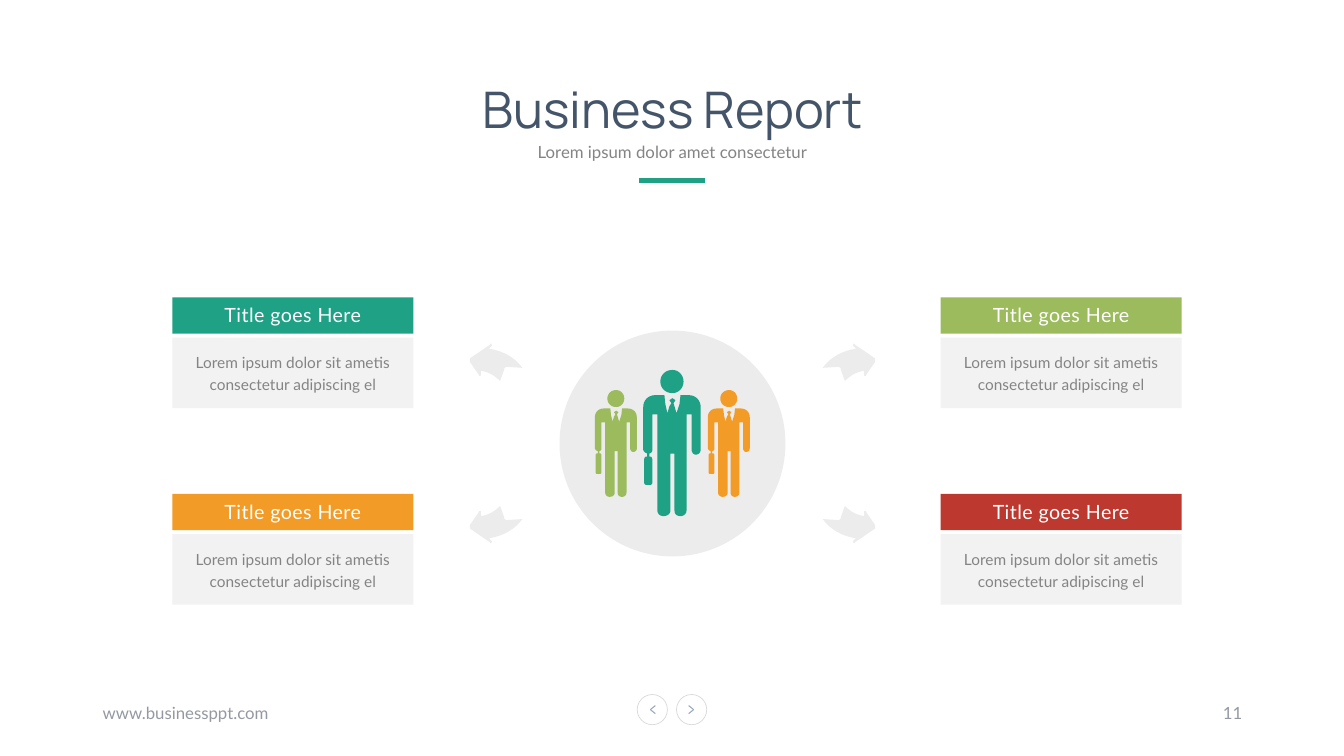
import dataclasses

import pptx
import pptx.dml.color
import pptx.enum.shapes
import pptx.enum.text
import pptx.oxml
import pptx.oxml.ns
import pptx.util

Inches = pptx.util.Inches
Shapes = pptx.enum.shapes.MSO_SHAPE
Align = pptx.enum.text.PP_ALIGN
Anchor = pptx.enum.text.MSO_ANCHOR

# Outlines in hundredths of an inch: a pair is a corner, six numbers are a curve.
BODY = [
    (12, 25), (21, 25), (22, 34), (24, 43), (26, 36), (28, 33), (26, 30), (29, 28),
    (32, 30), (30, 33), (31, 36), (33, 43), (36, 34), (37, 25), (45, 25),
    (52, 25, 57, 30, 57, 37), (57, 79), (57, 82, 55, 84, 52, 84),
    (50, 84, 48, 82, 48, 79), (48, 44), (43, 44), (43, 139),
    (43, 143, 40, 145, 37, 145), (33, 145, 31, 143, 31, 139), (31, 83), (27, 83),
    (27, 139), (27, 143, 24, 145, 20, 145), (17, 145, 14, 143, 14, 139), (14, 44),
    (9, 44), (9, 79), (9, 80, 9, 81, 8, 82), (6, 83), (6, 86), (7, 86),
    (8, 86, 9, 87, 9, 89), (9, 112), (9, 113, 8, 114, 7, 114), (3, 114),
    (2, 114, 1, 113, 1, 112), (1, 89), (1, 87, 2, 86, 3, 86), (4, 86), (4, 83),
    (2, 82), (1, 81, 0, 80, 0, 79), (0, 37), (0, 30, 5, 25, 12, 25),
]
HEAD = [
    (29, 0), (35, 0, 40, 5, 40, 11.5), (40, 18, 35, 23, 29, 23),
    (22, 23, 17, 18, 17, 11.5), (17, 5, 22, 0, 29, 0),
]
ARROW = [
    (0, 16), (0, 15, 0, 15, 1, 14), (20, 1), (20, 0, 21, 0, 21, 0),
    (21, 0, 22, 1, 22, 2), (19, 5), (33, 7, 45, 14, 52, 24), (37, 23),
    (36, 23, 35, 23, 35, 24), (34, 24, 34, 25, 34, 26), (30, 37),
    (25, 32, 19, 28, 11, 27), (11, 31), (11, 31, 11, 32, 10, 32),
    (9, 32, 9, 32, 9, 31), (0, 18),
]


@dataclasses.dataclass(frozen=True)
class Theme:
    teal: str = "1EA185"
    green: str = "9BBB5C"
    orange: str = "F29B26"
    red: str = "BD392F"
    white: str = "FFFFFF"
    panel: str = "F2F2F2"
    pale: str = "ECECEC"
    ring: str = "D9D9D9"
    chevron: str = "99A8BD"
    heading: str = "445469"
    body: str = "848484"
    footer: str = "9499A1"
    heading_font: str = "Manrope"
    body_font: str = "Lato"
    heading_size: int = 36
    card_size: int = 14
    small_size: int = 12
    body_size: int = 11


def colour(value):
    return pptx.dml.color.RGBColor.from_string(value)


def flatten(outline, steps=8):
    """Turn corners and cubic curves into a list of points."""
    points = [outline[0]]
    for part in outline[1:]:
        if len(part) == 2:
            points.append(part)
            continue
        knots = [points[-1], part[:2], part[2:4], part[4:]]
        for step in range(1, steps + 1):
            t = step / steps
            weights = ((1 - t) ** 3, 3 * t * (1 - t) ** 2, 3 * t * t * (1 - t), t ** 3)
            points.append(tuple(sum(w * k[axis] for w, k in zip(weights, knots))
                                for axis in (0, 1)))
    return points


class SlideBuilder:
    def __init__(self, deck, theme):
        self.theme = theme
        self.page = deck.slides.add_slide(deck.slide_layouts[5])

    def fill_text(self, box, text, size, ink, font=None, align=Align.CENTER,
                  anchor=Anchor.TOP, spacing=None, tracking=None, wrap=True):
        frame = box.text_frame
        frame.text = text
        frame.word_wrap = wrap
        frame.vertical_anchor = anchor
        frame.auto_size = pptx.enum.text.MSO_AUTO_SIZE.NONE
        para = frame.paragraphs[0]
        para.alignment = align
        if spacing:
            para.line_spacing = spacing
        span = para.runs[0]
        span.font.name = font or self.theme.body_font
        span.font.size = pptx.util.Pt(size)
        span.font.color.rgb = colour(ink)
        if tracking:
            span.font._element.set("spc", str(tracking))

    def title(self, left, top, width, height, text):
        box = self.page.shapes.title
        box.left, box.top = Inches(left), Inches(top)
        box.width, box.height = Inches(width), Inches(height)
        self.fill_text(box, text, self.theme.heading_size, self.theme.heading,
                       self.theme.heading_font)

    def text(self, left, top, width, height, text, size, ink, **style):
        box = self.page.shapes.add_textbox(
            Inches(left), Inches(top), Inches(width), Inches(height))
        self.fill_text(box, text, size, ink, **style)

    def paint(self, shape, fill=None, line=None):
        shape.shadow.inherit = False
        if fill:
            shape.fill.solid()
            shape.fill.fore_color.rgb = colour(fill)
        else:
            shape.fill.background()
        if line:
            shape.line.color.rgb = colour(line)
            shape.line.width = pptx.util.Pt(0.5)
        else:
            shape.line.fill.background()

    def shape(self, kind, left, top, width, height, fill=None, line=None):
        shape = self.page.shapes.add_shape(
            kind, Inches(left), Inches(top), Inches(width), Inches(height))
        self.paint(shape, fill, line)

    def line(self, x1, y1, x2, y2, ink, weight):
        line = self.page.shapes.add_connector(
            pptx.enum.shapes.MSO_CONNECTOR.STRAIGHT,
            Inches(x1), Inches(y1), Inches(x2), Inches(y2))
        line.line.color.rgb = colour(ink)
        line.line.width = pptx.util.Pt(weight)
        line._element.spPr.append(
            pptx.oxml.parse_xml(f"<a:effectLst {pptx.oxml.ns.nsdecls('a')}/>"))

    def outline(self, contours, left, top, fill, scale_x=1, scale_y=1):
        """Draw closed contours; a negative scale mirrors them."""
        builder = None
        for contour in contours:
            start, *rest = [(Inches(left + x * scale_x / 100), Inches(top + y * scale_y / 100))
                            for x, y in flatten(contour)]
            if builder is None:
                builder = self.page.shapes.build_freeform(*start)
            else:
                builder.move_to(*start)
            builder.add_line_segments(rest, close=True)
        self.paint(builder.convert_to_shape(), fill)

    def card(self, left, top, fill):
        theme = self.theme
        self.shape(Shapes.RECTANGLE, left, top, 2.39, 0.36, fill)
        self.shape(Shapes.RECTANGLE, left, top + 0.4, 2.39, 0.7, theme.panel)
        self.text(left + 0.41, top + 0.01, 1.57, 0.34, "Title goes Here",
                  theme.card_size, theme.white, tracking=30, wrap=False)
        self.text(left + 0.08, top + 0.47, 2.23, 0.55,
                  "Lorem ipsum dolor sit ametis consectetur adipiscing el",
                  theme.body_size, theme.body, spacing=1.2)

    def pager(self, left, tip, tail):
        """Draw a ringed chevron pointing from tail to tip."""
        self.shape(Shapes.OVAL, left, 6.89, 0.3, 0.3, line=self.theme.ring)
        for end in (7, 7.08):
            self.line(tip, 7.04, tail, end, self.theme.chevron, 0.75)


def main():
    theme = Theme()
    deck = pptx.Presentation()
    deck.slide_width, deck.slide_height = Inches(13.33), Inches(7.5)
    slide = SlideBuilder(deck, theme)

    slide.pager(6.32, 6.45, 6.5)
    slide.pager(6.71, 6.88, 6.83)
    slide.text(0.92, 6.87, 4.5, 0.4, "www.businessppt.com", theme.small_size,
               theme.footer, align=Align.LEFT, anchor=Anchor.MIDDLE)
    slide.text(9.42, 6.87, 3, 0.4, "11", theme.small_size,
               theme.footer, align=Align.RIGHT, anchor=Anchor.MIDDLE)

    slide.title(3.46, 0.72, 6.42, 0.71, "Business Report")
    slide.text(4.31, 1.28, 4.72, 0.38, "Lorem ipsum dolor amet consectetur",
               theme.small_size, theme.body, spacing=1.4)
    slide.line(6.34, 1.79, 6.99, 1.79, theme.teal, 3)

    slide.shape(Shapes.OVAL, 5.55, 3.28, 2.24, 2.24, theme.pale)
    for left, top, fill, scale in ((6.38, 3.67, theme.teal, 1),
                                   (5.9, 3.87, theme.green, 0.73),
                                   (7.02, 3.87, theme.orange, 0.73)):
        slide.outline([BODY, HEAD], left, top, fill, scale, scale)

    for left, tip, flip, fills in ((1.71, 4.66, 1, (theme.teal, theme.orange)),
                                   (9.33, 8.68, -1, (theme.green, theme.red))):
        for top, fill in zip((2.95, 4.9), fills):
            slide.card(left, top, fill)
        for top, turn in ((3.41, 1), (5.39, -1)):
            slide.outline([ARROW], tip, top, theme.pale, flip, turn)

    deck.save("out.pptx")


if __name__ == "__main__":
    main()
